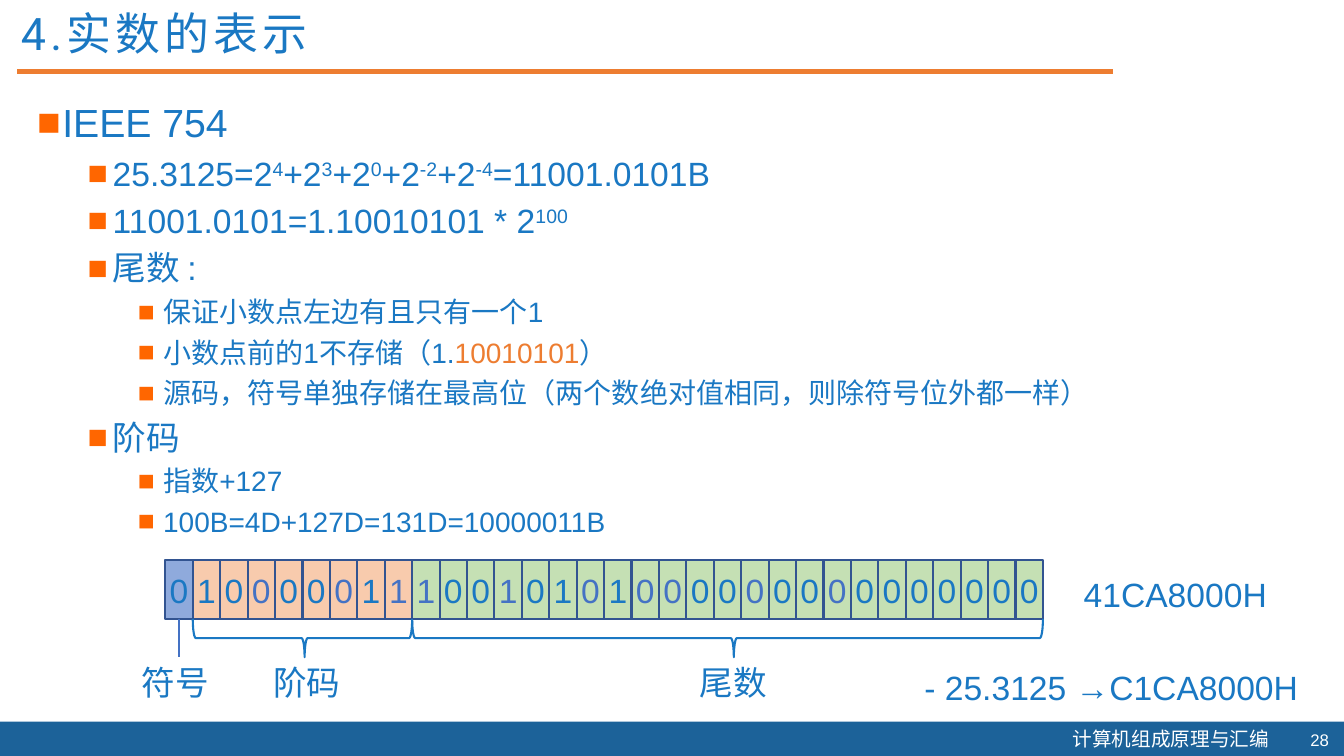
from lxml import etree
from pptx import Presentation
from pptx.dml.color import RGBColor
from pptx.enum.shapes import MSO_CONNECTOR, MSO_SHAPE
from pptx.enum.text import MSO_ANCHOR, PP_ALIGN
from pptx.oxml.ns import qn
from pptx.util import Inches, Pt

RECT, BRACE = MSO_SHAPE.RECTANGLE, MSO_SHAPE.LEFT_BRACE
LINE = MSO_CONNECTOR.STRAIGHT
LEFT, RIGHT, CENTER = PP_ALIGN.LEFT, PP_ALIGN.RIGHT, PP_ALIGN.CENTER
TOP, MIDDLE = MSO_ANCHOR.TOP, MSO_ANCHOR.MIDDLE

BLUE, SOFT, ORANGE, WHITE = "1A78C3", "4472C4", "ED7D31", "FFFFFF"
NAVY, EDGE, MARK = "1C6299", "325491", "FF6600"
HAN = "Noto Sans CJK SC"
SIZES = (28, 24, 20)
RAISED = {"base": 30000}
POINTS = (
    (0, "IEEE 754", {}),
    (1, "25.3125=2|4|+2|3|+2|0|+2|-2|+2|-4|=11001.0101B", RAISED),
    (1, "11001.0101=1.10010101 * 2|100", RAISED),
    (1, "尾数 :", {}),
    (2, "保证小数点左边有且只有一个1", {}),
    (2, "小数点前的1不存储（1.|10010101|）", {"color": ORANGE}),
    (2, "源码，符号单独存储在最高位（两个数绝对值相同，则除符号位外都一样）", {}),
    (1, "阶码", {}),
    (2, "指数+127", {}),
    (2, "100B=4D+127D=131D=10000011B", {}),
)
FIELDS = (
    ("0", "8FAADC"),
    ("10000011", "F8CBAD"),
    ("10010101000000000000000", "C5E0B4"),
)
SOFT_BITS = {3, 6, 8, 9, 12, 15, 17, 18, 21, 24}
ROW_X, ROW_Y, CELL_W, CELL_H = 1.64, 5.56, 0.272, 0.58
ROW_END = ROW_Y + CELL_H
LABELS = (
    ("尾数", 6.84, 6.52, 1.06),
    ("阶码", 2.61, 6.52, 1.06),
    ("符号", 1.31, 6.52, 0.93),
    ("41CA8000H", 10.65, 5.64, 2.25),
    ("- 25.3125 →C1CA8000H", 9.07, 6.57, 4.2),
)


def rgb(code):
    """Turn a hex string into a colour."""
    return RGBColor.from_string(code)


def write(para, words, size=24, color=BLUE, font="Arial", align=LEFT, base=0, space=0):
    """Add a formatted run to a paragraph."""
    para.alignment = align
    run = para.add_run()
    run.text = words
    run.font.size = Pt(size)
    run.font.name = font
    run.font.color.rgb = rgb(color)
    props = run.font._element
    etree.SubElement(props, qn("a:ea")).set("typeface", HAN)
    if base:
        props.set("baseline", str(base))
    if space:
        props.set("spc", str(space))


def frame(slide, x, y, w, h, anchor=TOP):
    """Add a wrapping text box and return its text frame."""
    box = slide.shapes.add_textbox(Inches(x), Inches(y), Inches(w), Inches(h))
    box.text_frame.word_wrap = True
    box.text_frame.vertical_anchor = anchor
    return box.text_frame


def label(slide, words, x, y, w, h=0.5, anchor=TOP, **style):
    """Add a one-line text box and return its paragraph."""
    para = frame(slide, x, y, w, h, anchor).paragraphs[0]
    write(para, words, **style)
    return para


def shape(slide, kind, x, y, w, h, fill=None, line=None):
    """Add a flat preset shape."""
    item = slide.shapes.add_shape(kind, Inches(x), Inches(y), Inches(w), Inches(h))
    item.shadow.inherit = False
    if fill:
        item.fill.solid()
        item.fill.fore_color.rgb = rgb(fill)
    else:
        item.fill.background()
    if line:
        item.line.color.rgb = rgb(line)
        item.line.width = Pt(1.5)
    else:
        item.line.fill.background()
    return item


def rule(slide, x1, y1, x2, y2, color, width):
    """Add a straight line without a shadow."""
    item = slide.shapes.add_connector(
        LINE, Inches(x1), Inches(y1), Inches(x2), Inches(y2))
    item.line.color.rgb = rgb(color)
    item.line.width = Pt(width)
    etree.SubElement(item._element.spPr, qn("a:effectLst"))


def bullet(para, level):
    """Give a paragraph its square bullet and indent."""
    para.level = level
    para.space_before = Pt(5 if level else 10)
    props = para._p.get_or_add_pPr()
    props.set("marL", str(Inches(0.25 + 0.5 * level)))
    props.set("indent", str(Inches(-0.25)))
    tint = etree.SubElement(props, qn("a:buClr"))
    etree.SubElement(tint, qn("a:srgbClr")).set("val", MARK)
    etree.SubElement(props, qn("a:buFont")).set("typeface", "Arial")
    etree.SubElement(props, qn("a:buChar")).set("char", "■")


def outline(slide):
    """Write the bulleted points; every second piece takes the accent."""
    body = frame(slide, 0.27, 0.93, 11.53, 4.74)
    for row, (level, words, accent) in enumerate(POINTS):
        para = body.add_paragraph() if row else body.paragraphs[0]
        bullet(para, level)
        for part, piece in enumerate(words.split("|")):
            write(para, piece, size=SIZES[level], **(accent if part % 2 else {}))


def cell(slide, spot, bit, fill):
    """Draw one bit of the number."""
    box = shape(slide, RECT, ROW_X + spot * CELL_W, ROW_Y, CELL_W, CELL_H, fill, EDGE)
    text = box.text_frame
    text.margin_left = text.margin_right = 0
    text.vertical_anchor = MIDDLE
    text.word_wrap = False
    write(text.paragraphs[0], bit, color=SOFT if spot in SOFT_BITS else BLUE, align=CENTER)


def brace(slide, start, count):
    """Draw a brace under a field of bits, with its tip down."""
    deep, span = 0.38, count * CELL_W
    mid = ROW_X + start * CELL_W + span / 2
    top = ROW_END + deep / 2 - span / 2
    item = shape(slide, BRACE, mid - deep / 2, top, deep, span, line=BLUE)
    item.adjustments[0], item.adjustments[1] = 0.08, 0.51
    item.rotation = 270


def number(slide):
    """Draw the bit row with a mark under each field."""
    start = 0
    for bits, fill in FIELDS:
        for spot, bit in enumerate(bits, start):
            cell(slide, spot, bit, fill)
        if len(bits) > 1:
            brace(slide, start, len(bits))
        start += len(bits)
    mid = ROW_X + CELL_W / 2
    rule(slide, mid, ROW_END, mid, 6.52, SOFT, 1.25)


def main():
    """Build the slide and save it."""
    deck = Presentation()
    deck.slide_width, deck.slide_height = Inches(13.33), Inches(7.5)
    slide = deck.slides.add_slide(deck.slide_layouts[6])
    shape(slide, RECT, 0, 7.16, 13.33, 0.35, NAVY)
    label(slide, "计算机组成原理与汇编", 10.54, 7.16, 2.18, 0.34,
          size=14, color=WHITE, font=HAN)
    rule(slide, 0.17, 0.71, 11.04, 0.71, ORANGE, 3)
    label(slide, "28", 12.78, 7.19, 0.5, 0.3, MIDDLE, size=12, color=WHITE, align=RIGHT)
    outline(slide)
    title = label(slide, "4.实数的表示", 0.11, 0.07, 10.65, 0.48,
                  size=32, font="Roboto", space=300)
    title.line_spacing = 0.9
    title.space_before = Pt(10)
    number(slide)
    for words, x, y, w in LABELS:
        label(slide, words, x, y, w)
    deck.save("out.pptx")


if __name__ == "__main__":
    main()
